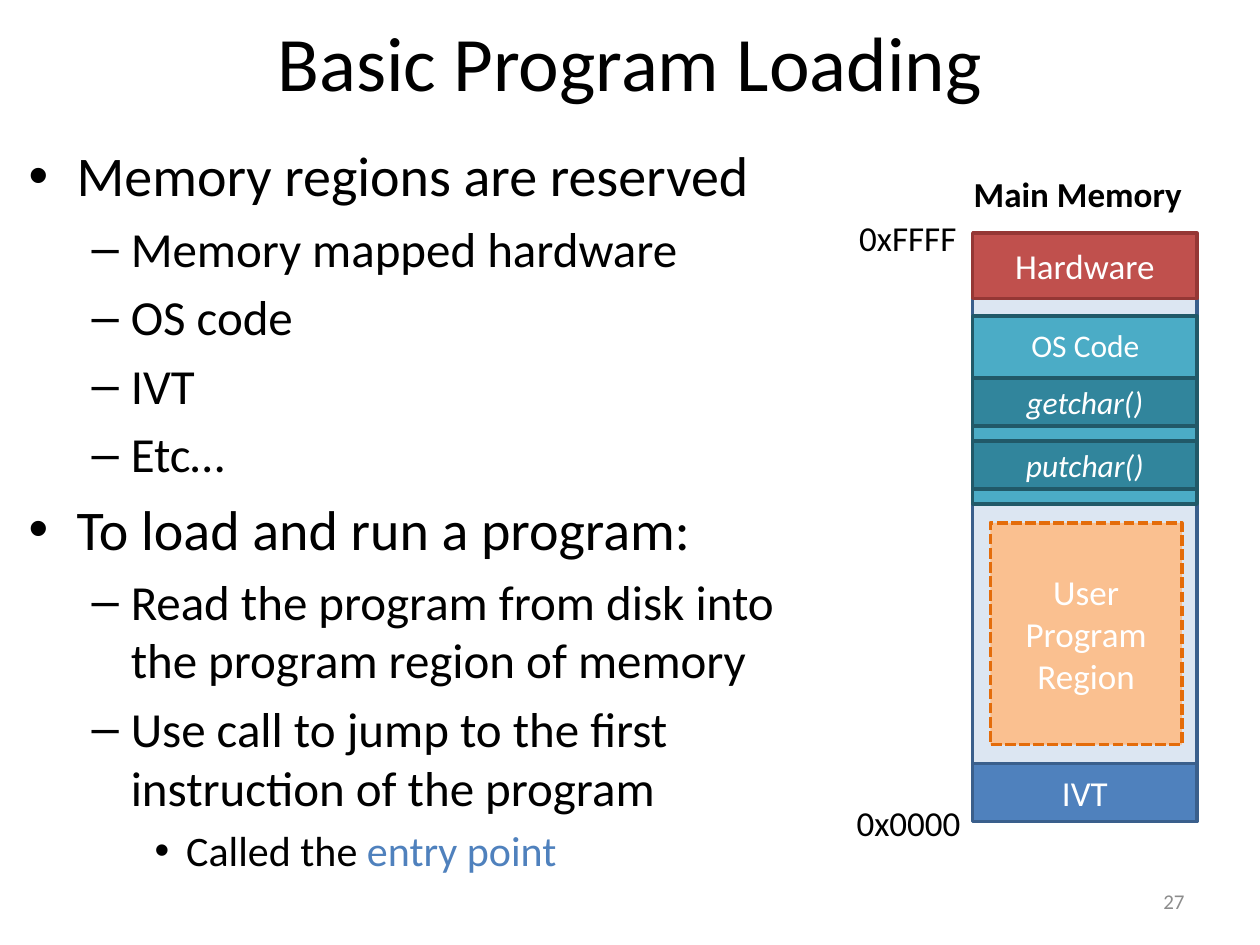
from pptx import Presentation
from pptx.dml.color import RGBColor
from pptx.enum.dml import MSO_LINE
from pptx.enum.shapes import MSO_SHAPE
from pptx.enum.text import MSO_ANCHOR as Anchor, MSO_AUTO_SIZE as Fit, PP_ALIGN as Align
from pptx.oxml.ns import qn
from pptx.util import Inches, Pt
from lxml.etree import SubElement

FONT = "Calibri"
BLACK = RGBColor(0x00, 0x00, 0x00)
WHITE = RGBColor(0xFF, 0xFF, 0xFF)
GRAY = RGBColor(0x8C, 0x8C, 0x8C)
PALE = RGBColor(0xDC, 0xE6, 0xF2)
BLUE = RGBColor(0x4F, 0x81, 0xBD)
NAVY = RGBColor(0x3A, 0x5F, 0x8C)
TEAL = RGBColor(0x4B, 0xAC, 0xC6)
DEEP = RGBColor(0x31, 0x85, 0x9C)
DARK = RGBColor(0x21, 0x59, 0x68)
PEACH = RGBColor(0xFA, 0xC0, 0x90)
ORANGE = RGBColor(0xE4, 0x6C, 0x0A)
RED = RGBColor(0xC0, 0x50, 0x4D)
MAROON = RGBColor(0x95, 0x37, 0x35)

# Per outline level: text size, left margin, hanging indent, bullet
LEVELS = [
    (32, 0.38, 0.38, "•"),
    (28, 0.81, 0.31, "–"),
    (24, 1.25, 0.25, "•"),
]

# Outline: level, then (text, color) runs
POINTS = [
    (0, [("Memory regions are reserved", BLACK)]),
    (1, [("Memory mapped hardware", BLACK)]),
    (1, [("OS code", BLACK)]),
    (1, [("IVT", BLACK)]),
    (1, [("Etc…", BLACK)]),
    (0, [("To load and run a program:", BLACK)]),
    (1, [("Read the program from disk into the program region of memory", BLACK)]),
    (1, [("Use call to jump to the first instruction of the program", BLACK)]),
    (2, [("Called the ", BLACK), ("entry point", BLUE)]),
]

# Memory column
LEFT, WIDTH = 7.72, 1.78


def add_run(para, text, size, color, bold=False, italic=False):
    run = para.add_run()
    run.text = text
    font = run.font
    font.name, font.size = FONT, Pt(size)
    font.bold, font.italic = bold, italic
    font.color.rgb = color


def add_box(slide, left, top, width, height, wrap=True, anchor=Anchor.TOP):
    box = slide.shapes.add_textbox(Inches(left), Inches(top), Inches(width), Inches(height))
    frame = box.text_frame
    frame.word_wrap = wrap
    frame.vertical_anchor = anchor
    frame.auto_size = Fit.NONE if wrap else Fit.SHAPE_TO_FIT_TEXT
    return frame


def add_text(slide, place, text, size, color=BLACK, align=Align.LEFT, bold=False,
             wrap=False, anchor=Anchor.TOP):
    para = add_box(slide, *place, wrap, anchor).paragraphs[0]
    para.alignment = align
    add_run(para, text, size, color, bold)


def add_block(slide, top, height, fill, edge, text="", size=20, italic=False,
              left=LEFT, width=WIDTH, dash=None):
    block = slide.shapes.add_shape(MSO_SHAPE.RECTANGLE, Inches(left), Inches(top),
                                   Inches(width), Inches(height))
    block.shadow.inherit = False
    block.fill.solid()
    block.fill.fore_color.rgb = fill
    block.line.color.rgb = edge
    block.line.width = Pt(2)
    if dash:
        block.line.dash_style = dash
    if text:
        frame = block.text_frame
        frame.word_wrap = True
        frame.vertical_anchor = Anchor.MIDDLE
        para = frame.paragraphs[0]
        para.alignment = Align.CENTER
        add_run(para, text, size, WHITE, italic=italic)


def add_point(para, level, runs):
    size, margin, hang, mark = LEVELS[level]
    para.level = level
    para.space_before = Pt(size * 0.2)
    props = para._p.get_or_add_pPr()
    props.set("marL", str(Inches(margin)))
    props.set("indent", str(-Inches(hang)))
    SubElement(props, qn("a:buFont")).set("typeface", "Arial")
    SubElement(props, qn("a:buChar")).set("char", mark)
    for text, color in runs:
        add_run(para, text, size, color)


def add_list(slide):
    frame = add_box(slide, 0.13, 1.07, 6.57, 6.13)
    for i, (level, runs) in enumerate(POINTS):
        para = frame.add_paragraph() if i else frame.paragraphs[0]
        add_point(para, level, runs)


def add_memory(slide):
    # Whole memory and the vector table
    add_block(slide, 1.86, 4.65, PALE, NAVY)
    add_block(slide, 6.06, 0.46, BLUE, NAVY, "IVT")

    # Addresses and heading
    add_text(slide, (6.7, 6.31, 1.03, 0.44), "0x0000", 20)
    add_text(slide, (6.72, 1.67, 0.98, 0.44), "0xFFFF", 20)
    add_text(slide, (7.63, 1.32, 1.87, 0.44), "Main Memory", 20, bold=True)

    # System code with its routines
    add_block(slide, 2.51, 1.49, TEAL, DARK)
    for top, name in ((3.0, "getchar()"), (3.5, "putchar()")):
        add_block(slide, top, 0.38, DEEP, DARK, name, 18, italic=True)
    add_text(slide, (8.08, 2.54, 1.07, 0.4), "OS Code", 18, WHITE, Align.CENTER)

    # User region and hardware
    add_block(slide, 4.15, 1.76, PEACH, ORANGE, "User Program Region",
              left=7.86, width=1.52, dash=MSO_LINE.SQUARE_DOT)
    add_block(slide, 1.85, 0.52, RED, MAROON, "Hardware")


def main():
    deck = Presentation()
    deck.slide_width, deck.slide_height = Inches(10), Inches(7.5)
    slide = deck.slides.add_slide(deck.slide_layouts[6])

    add_text(slide, (0.5, 0, 9, 0.96), "Basic Program Loading", 44,
             align=Align.CENTER, wrap=True, anchor=Anchor.MIDDLE)
    add_list(slide)
    add_text(slide, (7.17, 6.95, 2.33, 0.4), "27", 12, GRAY,
             Align.RIGHT, wrap=True, anchor=Anchor.MIDDLE)
    add_memory(slide)

    deck.save("out.pptx")


main()
